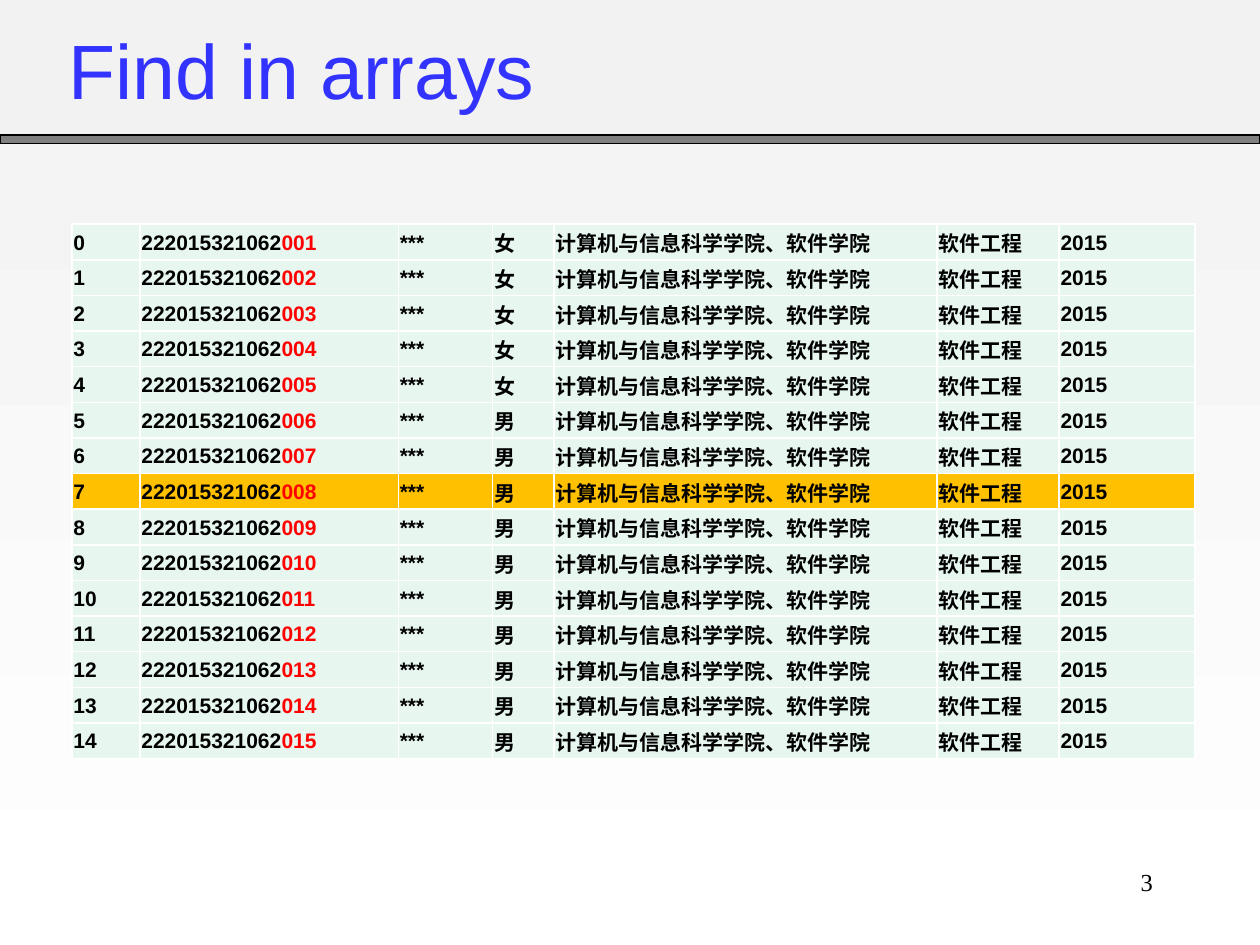
from lxml.etree import SubElement as Sub
from pptx import Presentation
from pptx.dml.color import RGBColor as Rgb
from pptx.enum.shapes import MSO_SHAPE as Shape
from pptx.enum.text import MSO_ANCHOR as Anchor, PP_ALIGN as Align
from pptx.oxml.ns import qn
from pptx.util import Cm, Pt

HUES = {
    "top": "F2F2F2", "white": "FFFFFF", "bar": "808080", "ink": "000000",
    "title": "3333FF", "red": "FF0000", "cell": "E7F6EF", "found": "FFC000",
}
COLS = [1.37, 5.21, 1.9, 1.24, 7.72, 2.46, 2.74]
COUNT = 15
FOUND = 7
WOMEN = 5


def hue(name):
    return Rgb.from_string(HUES[name])


def text(frame, *parts, size=12, font="Arial", bold=False, align=Align.LEFT,
         anchor=Anchor.TOP):
    """Fill a frame with one line made of (words, colour) parts."""
    frame.word_wrap = True
    frame.vertical_anchor = anchor
    line = frame.paragraphs[0]
    line.alignment = align
    for words, color in parts:
        run = line.add_run()
        run.text = words
        run.font.size = Pt(size)
        run.font.name = font
        run.font.bold = bold
        run.font.color.rgb = hue(color)


def back(slide):
    fill = slide.background.fill
    fill.gradient()
    fill.gradient_angle = 270
    for stop, name in zip(fill.gradient_stops, ("top", "white")):
        stop.color.rgb = hue(name)


def head(slide, left, top, width, height):
    # Rule across the foot of the header
    thick = 0.18
    bar = slide.shapes.add_shape(Shape.RECTANGLE, Cm(left), Cm(top + height - thick),
                                 Cm(width), Cm(thick))
    bar.shadow.inherit = False
    bar.fill.solid()
    bar.fill.fore_color.rgb = hue("bar")
    bar.line.color.rgb = hue("ink")
    bar.line.width = Pt(0.75)
    # Title
    title = slide.shapes.title
    title.left, title.top = Cm(left + 1.12), Cm(top + 0.25)
    title.width, title.height = Cm(21.6), Cm(2.26)
    text(title.text_frame, ("Find in arrays", "title"), size=44,
         anchor=Anchor.MIDDLE)


def edge(cell):
    props = cell._tc.get_or_add_tcPr()
    for side in ("lnL", "lnR", "lnT", "lnB"):
        line = Sub(props, qn(f"a:{side}"), w=str(Pt(1)))
        Sub(Sub(line, qn("a:solidFill")), qn("a:srgbClr"), val=HUES["white"])


def record(num):
    """Return the parts of each cell in one student's row."""
    sex = "女" if num < WOMEN else "男"
    plain = ["***", sex, "计算机与信息科学学院、软件学院", "软件工程", "2015"]
    code = [("222015321062", "ink"), (f"{num + 1:03}", "red")]
    return [[(str(num), "ink")], code] + [[(word, "ink")] for word in plain]


def roster(slide, left, top, width, height):
    table = slide.shapes.add_table(COUNT, len(COLS), Cm(left), Cm(top),
                                   Cm(width), Cm(height)).table
    table.first_row = table.horz_banding = False
    for col, size in zip(table.columns, COLS):
        col.width = Cm(size)
    for num, row in enumerate(table.rows):
        row.height = Cm(height / COUNT)
        for cell, parts in zip(row.cells, record(num)):
            edge(cell)
            cell.fill.solid()
            cell.fill.fore_color.rgb = hue("found" if num == FOUND else "cell")
            cell.margin_left = cell.margin_right = cell.margin_top = Cm(0.03)
            cell.margin_bottom = 0
            cell.vertical_anchor = Anchor.MIDDLE
            text(cell.text_frame, *parts, bold=True, anchor=None)


def foot(slide, left, top, width, height):
    box = slide.shapes.add_textbox(Cm(left), Cm(top), Cm(width), Cm(height))
    text(box.text_frame, ("3", "ink"), size=14, font="Times New Roman",
         align=Align.RIGHT)


def main():
    deck = Presentation()
    deck.slide_width, deck.slide_height = Cm(25.4), Cm(19.05)
    slide = deck.slides.add_slide(deck.slide_layouts[5])
    back(slide)
    head(slide, 0, 0, 25.4, 2.9)
    roster(slide, 1.45, 4.52, sum(COLS), 10.77)
    foot(slide, 18.21, 17.35, 5.28, 1.27)
    deck.save("out.pptx")


if __name__ == "__main__":
    main()
